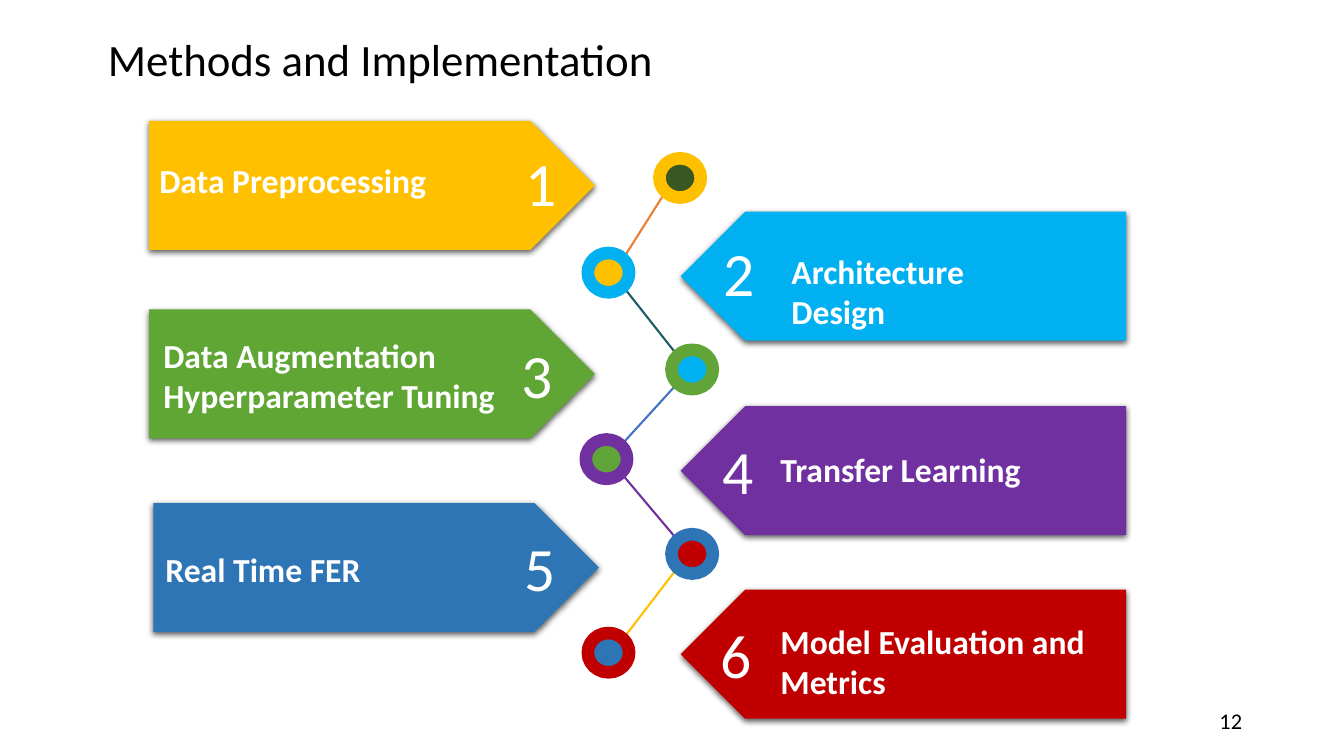
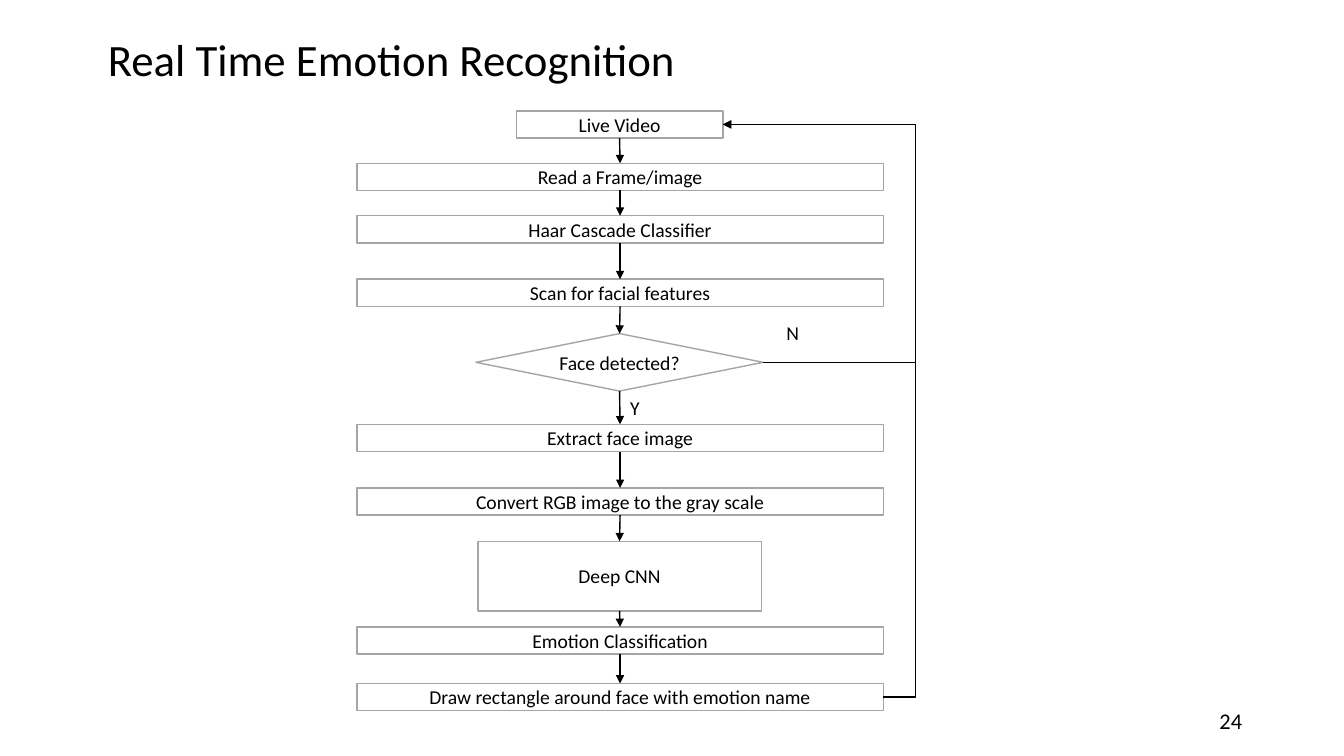
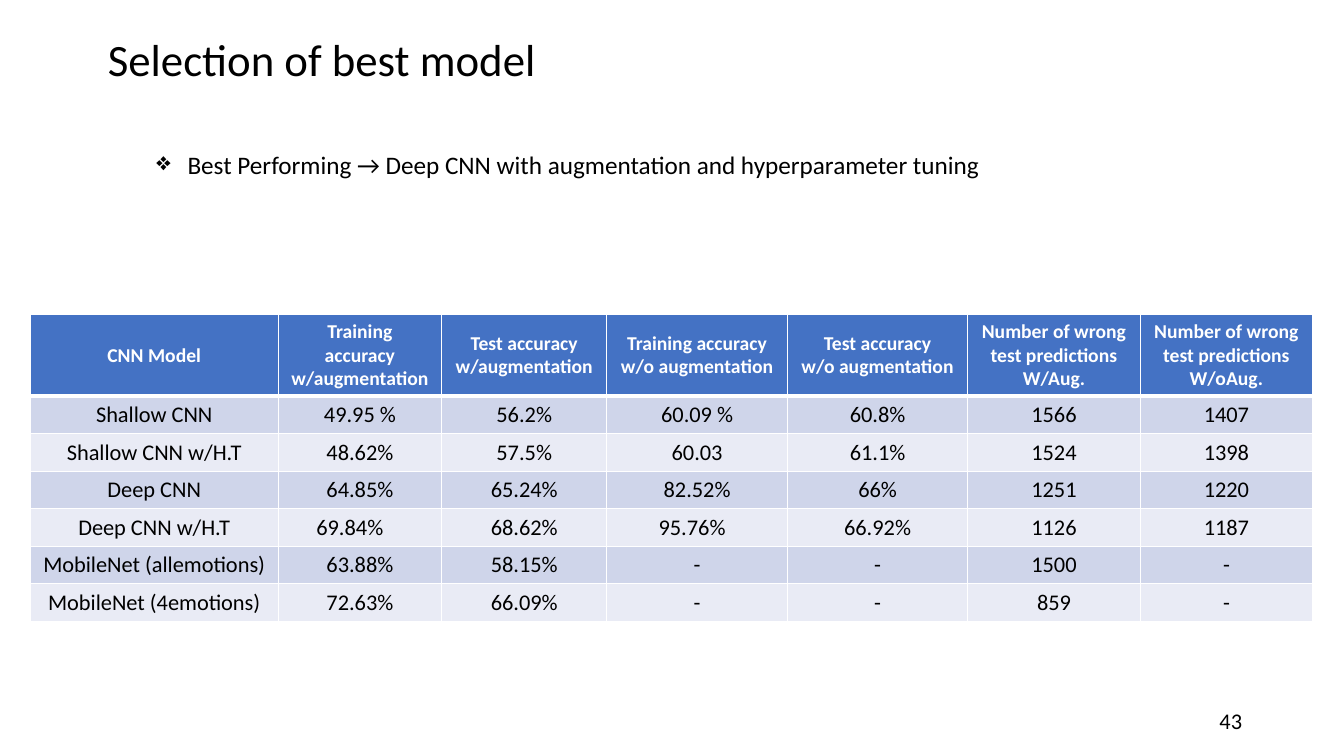
"""Build three slides on facial emotion recognition: methods, flow chart and results."""
import dataclasses
import itertools
import math
import typing

import lxml.etree
import pptx
import pptx.dml.color
import pptx.enum.shapes
import pptx.enum.text
import pptx.oxml.ns
import pptx.util

EMU_PER_PX = 9144
FONT = "Calibri"
BLACK, WHITE, GRAY = "000000", "FFFFFF", "A5A5A5"
GOLD, CYAN, GREEN = "FFC000", "00B0F0", "61A437"
PURPLE, BLUE, RED = "7030A0", "2E75B6", "C00000"
HEADER_FILL, BAND_FILLS = "4472C4", ("CFD5EA", "E9EBF5")

ALIGN = pptx.enum.text.PP_ALIGN
ANCHOR = pptx.enum.text.MSO_ANCHOR
SHAPE = pptx.enum.shapes.MSO_SHAPE
CONNECTOR = pptx.enum.shapes.MSO_CONNECTOR
TOP, BOTTOM, RIGHT = 0, 2, 3


class Box(typing.NamedTuple):
    left: int
    top: int
    width: int
    height: int


@dataclasses.dataclass(frozen=True)
class TextStyle:
    size: int
    color: str = BLACK
    bold: bool = False
    align: ALIGN = ALIGN.LEFT
    anchor: ANCHOR = ANCHOR.TOP
    spacing: float = 1.0


@dataclasses.dataclass(frozen=True)
class Step:
    label: str
    banner_color: str
    banner: tuple[int, int]
    number: tuple[int, int]
    label_box: Box
    ring_color: str
    core_color: str
    node: tuple[int, int]


@dataclasses.dataclass(frozen=True)
class FlowBox:
    text: str
    top: int
    width: int = 522
    height: int = 27
    preset: SHAPE = SHAPE.RECTANGLE


TITLE = TextStyle(32, spacing=1.5)
PAGE_NUMBER = TextStyle(16, align=ALIGN.RIGHT, anchor=ANCHOR.MIDDLE)
STEP_NUMBER = TextStyle(44, WHITE)
STEP_LABEL = TextStyle(24, WHITE, bold=True)
FLOW_TEXT = TextStyle(14, align=ALIGN.CENTER, anchor=ANCHOR.MIDDLE)
BRANCH_LABEL = TextStyle(14)
FINDING = TextStyle(18)
HEADER_CELL = TextStyle(14, WHITE, True, ALIGN.CENTER, ANCHOR.MIDDLE)
BODY_CELL = TextStyle(16, align=ALIGN.CENTER, anchor=ANCHOR.MIDDLE)

TITLE_BOX = Box(107, 5, 1047, 78)
PAGE_NUMBER_BOX = Box(942, 695, 290, 40)

BANNER_WIDTH, BANNER_HEIGHT = 442, 128
NODE_WIDTH, NODE_HEIGHT = 41, 39
STEPS = (
    Step("Data Preprocessing", GOLD, (148, 120), (521, 144),
         Box(158, 159, 363, 40), GOLD, "385723", (654, 157)),
    Step("Architecture Design", CYAN, (675, 210), (718, 233),
         Box(785, 249, 255, 80), CYAN, GOLD, (583, 251)),
    Step("Data Augmentation Hyperparameter Tuning", "5FA634", (148, 307), (517, 334),
         Box(162, 332, 387, 80), GREEN, CYAN, (666, 347)),
    Step("Transfer Learning", PURPLE, (675, 403), (717, 429),
         Box(774, 445, 310, 40), PURPLE, GREEN, (581, 436)),
    Step("Real Time FER", BLUE, (152, 499), (520, 526),
         Box(164, 545, 338, 40), BLUE, RED, (666, 530)),
    Step("Model Evaluation and Metrics", RED, (675, 585), (715, 612),
         Box(774, 616, 336, 80), RED, BLUE, (583, 628)),
)
LINK_COLORS = ("ED7D31", "1D5D65", "4472C4", PURPLE, GOLD)

FLOW_CENTER, RETURN_LANE = 615, 908
FLOW = (
    FlowBox("Live Video", 110, width=205),
    FlowBox("Read a Frame/image", 162),
    FlowBox("Haar Cascade Classifier", 214),
    FlowBox("Scan for facial features", 277),
    FlowBox("Face detected?", 331, 285, 57, SHAPE.DIAMOND),
    FlowBox("Extract face image", 421),
    FlowBox("Convert RGB image to the gray scale", 484),
    FlowBox("Deep CNN", 537, 281, 69),
    FlowBox("Emotion Classification", 622),
    FlowBox("Draw rectangle around face with emotion name", 678),
)

COLUMN_WIDTHS = (246, 162, 164, 179, 179, 171, 171)
HEADER_HEIGHT, ROW_HEIGHT = 80, 37
RESULTS = (
    ("CNN Model", "Training\vaccuracy\nw/augmentation", "Test accuracy\nw/augmentation",
     "Training accuracy\nw/o augmentation", "Test accuracy\nw/o augmentation",
     "Number of wrong\ntest predictions\nW/Aug.", "Number of wrong\ntest predictions\nW/oAug."),
    ("Shallow CNN", "49.95 %", "56.2%", "60.09 %", "60.8%", "1566", "1407"),
    ("Shallow CNN w/H.T", "48.62%", "57.5%", "60.03", "61.1%", "1524", "1398"),
    ("Deep CNN", "64.85%", "65.24%", "82.52%", "66%", "1251", "1220"),
    ("Deep CNN w/H.T", "69.84%", "68.62%", "95.76%", "66.92%", "1126", "1187"),
    ("MobileNet (allemotions)", "63.88%", "58.15%", "-", "-", "1500", "-"),
    ("MobileNet (4emotions)", "72.63%", "66.09%", "-", "-", "859", "-"),
)
RIGHT_INSETS = {(4, 1): 30, (4, 3): 20}


def px(length: float) -> pptx.util.Emu:
    return pptx.util.Emu(round(length * EMU_PER_PX))


def rgb(color: str) -> pptx.dml.color.RGBColor:
    return pptx.dml.color.RGBColor.from_string(color)


def add_element(parent, tag: str, **attributes: str):
    return lxml.etree.SubElement(parent, pptx.oxml.ns.qn(tag), attributes)


def style_paragraphs(frame, style: TextStyle) -> None:
    for paragraph in frame.paragraphs:
        paragraph.alignment = style.align
        paragraph.line_spacing = style.spacing
        paragraph.font.name = FONT
        paragraph.font.size = pptx.util.Pt(style.size)
        paragraph.font.bold = style.bold
        paragraph.font.color.rgb = rgb(style.color)


def write_text(frame, text: str, style: TextStyle) -> None:
    frame.text = text
    frame.word_wrap = True
    frame.auto_size = pptx.enum.text.MSO_AUTO_SIZE.NONE
    frame.vertical_anchor = style.anchor
    frame.margin_left = frame.margin_right = frame.margin_top = frame.margin_bottom = 0
    style_paragraphs(frame, style)


def add_text(slide, text: str, box: Box, style: TextStyle):
    shape = slide.shapes.add_textbox(*map(px, box))
    write_text(shape.text_frame, text, style)
    return shape


def add_preset(slide, preset: SHAPE, box: Box, fill: str,
               line: str | None = None, line_width: int = 1):
    shape = slide.shapes.add_shape(preset, *map(px, box))
    shape.shadow.inherit = False
    shape.fill.solid()
    shape.fill.fore_color.rgb = rgb(fill)
    if line is None:
        shape.line.fill.background()
    else:
        shape.line.color.rgb = rgb(line)
        shape.line.width = pptx.util.Pt(line_width)
    return shape


def format_connector(connector, color: str, width: float, arrow: bool = False) -> None:
    connector.line.color.rgb = rgb(color)
    connector.line.width = pptx.util.Pt(width)
    if arrow:
        add_element(connector.line._get_or_add_ln(), "a:tailEnd", type="triangle")
    add_element(connector._element.spPr, "a:effectLst")


def add_titled_slide(presentation, title: str, page: int):
    slide = presentation.slides.add_slide(presentation.slide_layouts[5])
    placeholder = slide.shapes.title
    placeholder.left, placeholder.top, placeholder.width, placeholder.height = map(px, TITLE_BOX)
    write_text(placeholder.text_frame, title, TITLE)
    add_text(slide, str(page), PAGE_NUMBER_BOX, PAGE_NUMBER)
    return slide


def add_banner(slide, step: Step, points_left: bool) -> None:
    box = Box(*step.banner, BANNER_WIDTH, BANNER_HEIGHT)
    banner = add_preset(slide, SHAPE.PENTAGON, box, step.banner_color)
    banner.rotation = 180 if points_left else 0
    effects = banner._element.spPr.find(pptx.oxml.ns.qn("a:effectLst"))
    shadow = add_element(effects, "a:outerShdw", blurRad="57150", dist="19050",
                         dir="5400000", algn="ctr", rotWithShape="0")
    color = add_element(shadow, "a:srgbClr", val=BLACK)
    add_element(color, "a:alpha", val="63000")


def add_link(slide, upper: Step, lower: Step, color: str) -> None:
    side = math.copysign(1, lower.node[0] - upper.node[0])
    reach_x, reach_y = (size / 2 * math.sqrt(0.5) for size in (NODE_WIDTH, NODE_HEIGHT))
    ends = []
    for step, sign in ((upper, 1), (lower, -1)):
        ends.append(px(step.node[0] + NODE_WIDTH / 2 + sign * side * reach_x))
        ends.append(px(step.node[1] + NODE_HEIGHT / 2 + sign * reach_y))
    format_connector(slide.shapes.add_connector(CONNECTOR.STRAIGHT, *ends), color, 1.5)


def build_methods(presentation) -> None:
    slide = add_titled_slide(presentation, "Methods and Implementation", 12)
    for (upper, lower), color in zip(itertools.pairwise(STEPS), LINK_COLORS):
        add_link(slide, upper, lower, color)
    for number, step in enumerate(STEPS, start=1):
        add_banner(slide, step, points_left=number % 2 == 0)
        node_box = Box(*step.node, NODE_WIDTH, NODE_HEIGHT)
        add_preset(slide, SHAPE.FLOWCHART_CONNECTOR, node_box, step.core_color, step.ring_color, 9)
        add_text(slide, str(number), Box(*step.number, 40, 75), STEP_NUMBER)
        add_text(slide, step.label, step.label_box, STEP_LABEL)


def connect_flow(slide, source, source_site: int, target, target_site: int,
                 lane: int | None = None) -> None:
    kind = CONNECTOR.STRAIGHT if lane is None else CONNECTOR.ELBOW
    connector = slide.shapes.add_connector(kind, 0, 0, 0, 0)
    connector.begin_connect(source, source_site)
    connector.end_connect(target, target_site)
    if lane is not None:
        bend = (connector.begin_x - px(lane)) / (connector.begin_x - connector.end_x)
        geometry = connector._element.spPr.find(pptx.oxml.ns.qn("a:prstGeom"))
        guides = geometry.find(pptx.oxml.ns.qn("a:avLst"))
        add_element(guides, "a:gd", name="adj1", fmla=f"val {round(bend * 100000)}")
    format_connector(connector, BLACK, 1, arrow=True)


def build_flow(presentation) -> None:
    slide = add_titled_slide(presentation, "Real Time Emotion Recognition", 24)
    shapes = []
    for item in FLOW:
        left = round(FLOW_CENTER - item.width / 2)
        box = Box(left, item.top, item.width, item.height)
        shape = add_preset(slide, item.preset, box, WHITE, GRAY)
        write_text(shape.text_frame, item.text, FLOW_TEXT)
        shapes.append(shape)
    for upper, lower in itertools.pairwise(shapes):
        connect_flow(slide, upper, BOTTOM, lower, TOP)
    for item, shape in zip(FLOW, shapes):
        if item.preset == SHAPE.DIAMOND or item is FLOW[-1]:
            connect_flow(slide, shape, RIGHT, shapes[0], RIGHT, RETURN_LANE)
    for text, left, top in (("N", 780, 318), ("Y", 625, 393)):
        add_text(slide, text, Box(left, top, 20, 24), BRANCH_LABEL)


def format_cell(cell, text: str, style: TextStyle, fill: str,
                top_border: int, bottom_border: int) -> None:
    cell.text_frame.text = text
    cell.vertical_anchor = style.anchor
    style_paragraphs(cell.text_frame, style)
    properties = cell._tc.get_or_add_tcPr()
    for edge, width in (("L", 1), ("R", 1), ("T", top_border), ("B", bottom_border)):
        border = add_element(properties, f"a:ln{edge}", w=str(pptx.util.Pt(width)))
        add_element(add_element(border, "a:solidFill"), "a:srgbClr", val=WHITE)
    cell.fill.solid()
    cell.fill.fore_color.rgb = rgb(fill)


def add_results_table(slide) -> None:
    height = HEADER_HEIGHT + ROW_HEIGHT * (len(RESULTS) - 1)
    box = Box(30, 312, sum(COLUMN_WIDTHS), height)
    table = slide.shapes.add_table(len(RESULTS), len(COLUMN_WIDTHS), *map(px, box)).table
    for column, width in zip(table.columns, COLUMN_WIDTHS):
        column.width = px(width)
    for row_index, values in enumerate(RESULTS):
        is_header = row_index == 0
        table.rows[row_index].height = px(HEADER_HEIGHT if is_header else ROW_HEIGHT)
        style = HEADER_CELL if is_header else BODY_CELL
        fill = HEADER_FILL if is_header else BAND_FILLS[(row_index - 1) % 2]
        for column_index, value in enumerate(values):
            cell = table.cell(row_index, column_index)
            format_cell(cell, value, style, fill,
                        top_border=3 if row_index == 1 else 1,
                        bottom_border=3 if is_header else 1)
            cell.margin_right = px(RIGHT_INSETS.get((row_index, column_index), 10))


def build_results(presentation) -> None:
    slide = add_titled_slide(presentation, "Selection of best model", 43)
    add_results_table(slide)
    finding = add_text(slide, "", Box(155, 148, 871, 31), FINDING)
    paragraph = finding.text_frame.paragraphs[0]
    properties = paragraph._p.get_or_add_pPr()
    properties.set("marL", str(px(31)))
    properties.set("indent", str(px(-31)))
    bullet = lxml.etree.Element(pptx.oxml.ns.qn("a:buChar"), {"char": "❖"})
    properties.find(pptx.oxml.ns.qn("a:defRPr")).addprevious(bullet)
    paragraph.text = "Best Performing → Deep CNN with augmentation and hyperparameter tuning"


def main() -> None:
    presentation = pptx.Presentation()
    presentation.slide_width, presentation.slide_height = px(1333), px(750)
    build_methods(presentation)
    build_flow(presentation)
    build_results(presentation)
    presentation.save("out.pptx")


if __name__ == "__main__":
    main()
